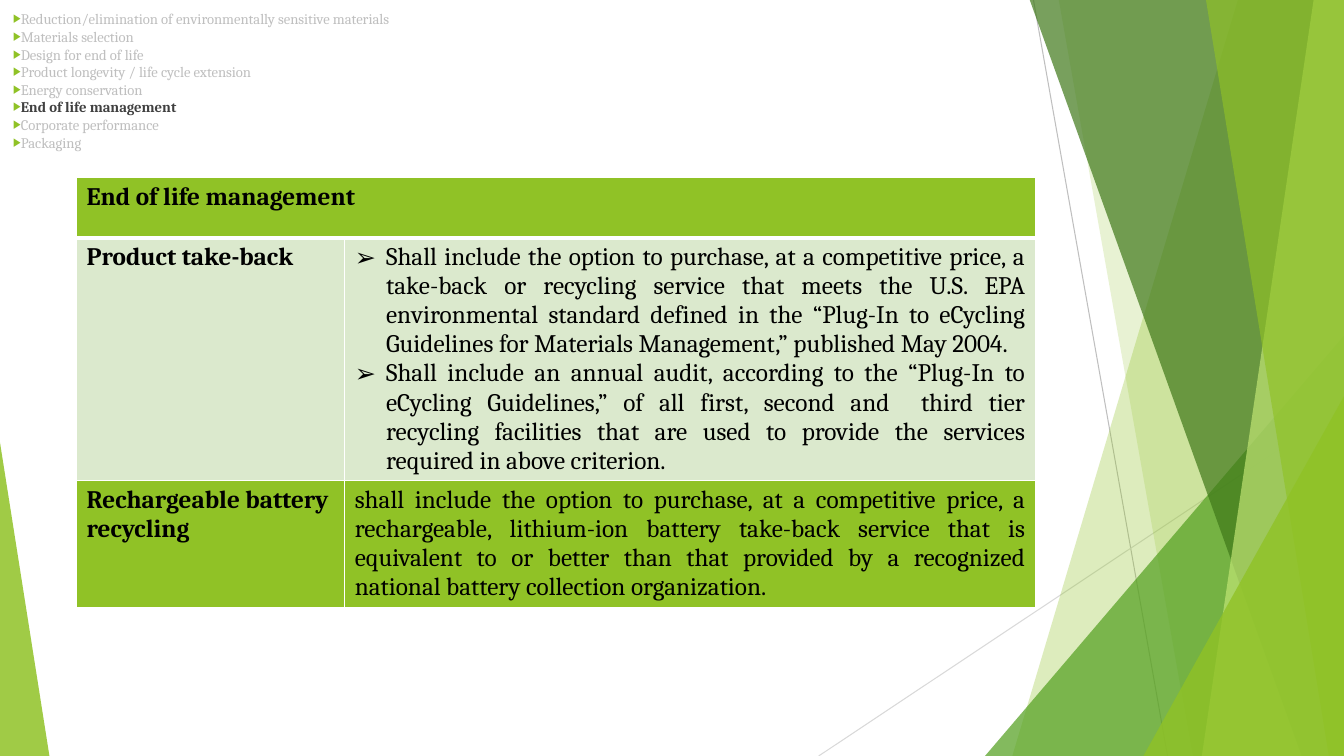
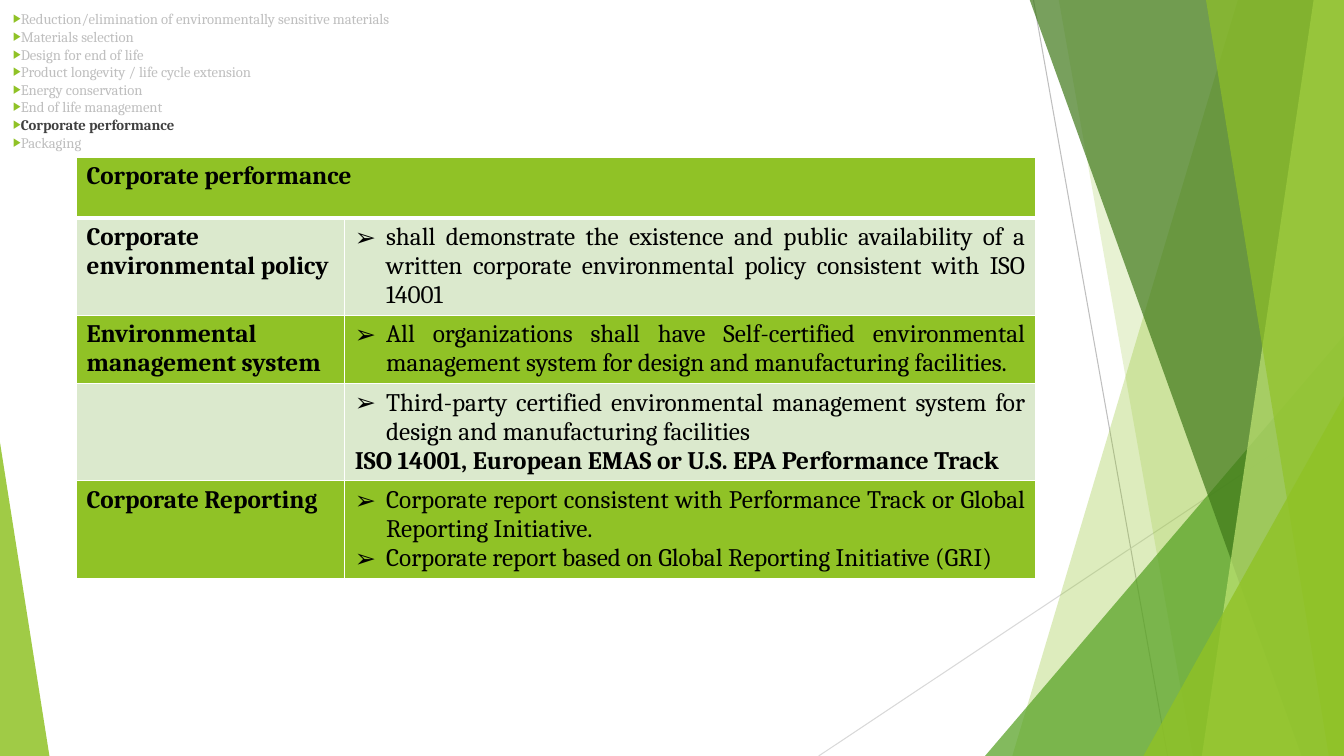
from dataclasses import dataclass

from lxml import etree
from pptx import Presentation
from pptx.dml.color import RGBColor
from pptx.enum import shapes, text
from pptx.oxml.ns import qn
from pptx.util import Inches, Pt


@dataclass(frozen=True)
class Theme:
    font: str = "Cambria"
    agenda_size: float = 10.5
    table_size: float = 18
    lime: str = "90C226"
    pale: str = "DBE9CD"
    leaf: str = "54A021"
    forest: str = "3F7819"
    mint: str = "C0E474"
    ink: str = "000000"
    active: str = "404040"
    muted: str = "BFBFBF"
    mist: str = "D9D9D9"
    white: str = "FFFFFF"


@dataclass(frozen=True)
class Point:
    words: str
    bullet: bool = True
    bold: bool = False


THEME = Theme()
WIDTH, HEIGHT = 13.33, 7.5

AGENDA = [
    "Reduction/elimination of environmentally sensitive materials",
    "Materials selection",
    "Design for end of life",
    "Product longevity / life cycle extension",
    "Energy conservation",
    "End of life management",
    "Corporate performance",
    "Packaging",
]

PAGES = [
    ("End of life management", 1.76, [
        ("Product take-back", [
            Point("Shall include the option to purchase, at a competitive price, a take-back or recycling "
                  "service that meets the U.S. EPA environmental standard defined in the “Plug-In to "
                  "eCycling Guidelines for Materials Management,” published May 2004."),
            Point("Shall include an annual audit, according to the “Plug-In to eCycling Guidelines,” of "
                  "all first, second and  third tier recycling facilities that are used to provide the "
                  "services required in above criterion."),
        ]),
        ("Rechargeable battery recycling", [
            Point("shall include the option to purchase, at a competitive price, a rechargeable, "
                  "lithium-ion battery take-back service that is equivalent to or better than that "
                  "provided by a recognized national battery collection organization.", bullet=False),
        ]),
    ]),
    ("Corporate performance", 1.56, [
        ("Corporate environmental policy", [
            Point("shall demonstrate the existence and public availability of a written corporate "
                  "environmental policy consistent with ISO 14001"),
        ]),
        ("Environmental management system", [
            Point("All organizations shall have Self-certified environmental management system for "
                  "design and manufacturing facilities."),
        ]),
        ("", [
            Point("Third-party certified environmental management system for design and manufacturing "
                  "facilities"),
            Point("ISO 14001, European EMAS or U.S. EPA Performance Track", bullet=False, bold=True),
        ]),
        ("Corporate Reporting", [
            Point("Corporate report consistent with Performance Track or Global Reporting Initiative."),
            Point("Corporate report based on Global Reporting Initiative (GRI)"),
        ]),
    ]),
]

RAYS = [
    ((10.25, 0), (11.58, HEIGHT), THEME.muted),
    ((WIDTH, 4.03), (8.12, HEIGHT), THEME.mist),
]
BANDS_AND_WEDGES = [
    ((12.28, 10.04), THEME.lime, 30),
    ((10.5, 11.83), THEME.lime, 20),
    ((9.77, 3.33, 3.56, 1), THEME.leaf, 72),
    ((10.21, 12.91), THEME.forest, 70),
    ((13.03, 11.92), THEME.mint, 70),
    ((11.96, 13.18), THEME.lime, 65),
    ((11.34, 3.93, 1.99, 1), THEME.lime, 80),
    ((0, 4.39, 0.49, 0), THEME.lime, 85),
]


def write(paragraph, words, size, color, bold):
    run = paragraph.add_run()
    run.text = words
    for attribute, value in {"name": THEME.font, "size": Pt(size), "bold": bold}.items():
        setattr(run.font, attribute, value)
    run.font.color.rgb = RGBColor.from_string(color)


def add_bullet(paragraph, mark, left, hanging, color, percent):
    properties = paragraph._p.get_or_add_pPr()
    properties.set("marL", str(Inches(left)))
    properties.set("indent", str(-Inches(hanging)))
    tint = etree.SubElement(properties, qn("a:buClr"))
    etree.SubElement(tint, qn("a:srgbClr"), val=color)
    etree.SubElement(properties, qn("a:buSzPct"), val=str(percent * 1000))
    etree.SubElement(properties, qn("a:buFont"), typeface="Arial")
    etree.SubElement(properties, qn("a:buChar"), char=mark)


deck = Presentation()
deck.slide_width, deck.slide_height = Inches(WIDTH), Inches(HEIGHT)
layout = deck.slide_layouts[1]
slides = [deck.slides.add_slide(layout) for _ in PAGES]

canvas = slides[0].shapes
backdrop = []
for start, end, color in RAYS:
    ray = canvas.add_connector(shapes.MSO_CONNECTOR.STRAIGHT, *map(Inches, start + end))
    ray.line.color.rgb = RGBColor.from_string(color)
    ray.line.width = Pt(0.75)
    etree.SubElement(ray.element.spPr, qn("a:effectLst"))
    backdrop.append(ray)

for geometry, color, opacity in BANDS_AND_WEDGES:
    if len(geometry) == 2:
        top_x, bottom_x = geometry
        corners = [(WIDTH, -0.01), (WIDTH, HEIGHT), (bottom_x, HEIGHT)]
        outline = canvas.build_freeform(Inches(top_x), Inches(-0.01))
        outline.add_line_segments([(Inches(x), Inches(y)) for x, y in corners], close=True)
        facet = outline.convert_to_shape()
    else:
        left, top, width, tip = geometry
        facet = canvas.add_shape(shapes.MSO_SHAPE.ISOSCELES_TRIANGLE,
                                 *map(Inches, (left, top, width, HEIGHT - top)))
        facet.adjustments[0] = tip
    facet.shadow.inherit = False
    facet.fill.solid()
    facet.fill.fore_color.rgb = RGBColor.from_string(color)
    facet.line.fill.background()
    tint = facet.element.spPr.find(qn("a:solidFill")).find(qn("a:srgbClr"))
    etree.SubElement(tint, qn("a:alpha"), val=str(opacity * 1000))
    backdrop.append(facet)

for order, piece in enumerate(backdrop):
    piece.element[0][0].set("id", str(100 + order))
    layout.shapes.element.insert(2 + order, piece.element)

for slide, (topic, table_top, criteria) in zip(slides, PAGES):
    heading = slide.shapes.title.element
    heading.getparent().remove(heading)

    agenda = slide.placeholders[1]
    for attribute, value in {"left": 0.03, "top": 0.05, "width": 4.83, "height": 1.5}.items():
        setattr(agenda, attribute, Inches(value))
    agenda.text_frame.auto_size = text.MSO_AUTO_SIZE.NONE
    agenda.text_frame.vertical_anchor = text.MSO_ANCHOR.TOP
    for position, entry in enumerate(AGENDA):
        line = agenda.text_frame.add_paragraph() if position else agenda.text_frame.paragraphs[0]
        line.space_before = Pt(0)
        add_bullet(line, "▶", 0, 0.38, THEME.lime, 80)
        current = entry == topic
        write(line, entry, THEME.agenda_size, THEME.active if current else THEME.muted, current)

    heights = [0.6, 0.91] + [0.41] * (len(criteria) - 1)
    table = slide.shapes.add_table(len(heights), 2, Inches(0.76), Inches(table_top),
                                   Inches(9.51), Inches(sum(heights))).table
    table.first_row = table.horz_banding = False
    for column, width in zip(table.columns, (2.66, 6.85)):
        column.width = Inches(width)
    for row, height in zip(table.rows, heights):
        row.height = Inches(height)
    table.cell(0, 0).merge(table.cell(0, 1))

    rows = [(topic, [])] + criteria
    for r, (label, points) in enumerate(rows):
        for c, content in enumerate(([Point(label, False, True)] if label else [], points)):
            cell = table.cell(r, c)
            borders = cell._tc.get_or_add_tcPr()
            for side in "LRTB":
                thick = (r, side) in ((0, "B"), (1, "T"))
                border = etree.SubElement(borders, qn(f"a:ln{side}"), w=str(Pt(3 if thick else 1)))
                paint = etree.SubElement(border, qn("a:solidFill"))
                etree.SubElement(paint, qn("a:srgbClr"), val=THEME.white)
            cell.fill.solid()
            cell.fill.fore_color.rgb = RGBColor.from_string(THEME.pale if r % 2 else THEME.lime)
            for position, point in enumerate(content):
                line = cell.text_frame.add_paragraph() if position else cell.text_frame.paragraphs[0]
                line.alignment = text.PP_ALIGN.JUSTIFY if c else text.PP_ALIGN.LEFT
                if point.bullet:
                    add_bullet(line, "➢", 0.31, 0.31, THEME.ink, 100)
                write(line, point.words, THEME.table_size, THEME.ink, point.bold)

deck.save("out.pptx")
